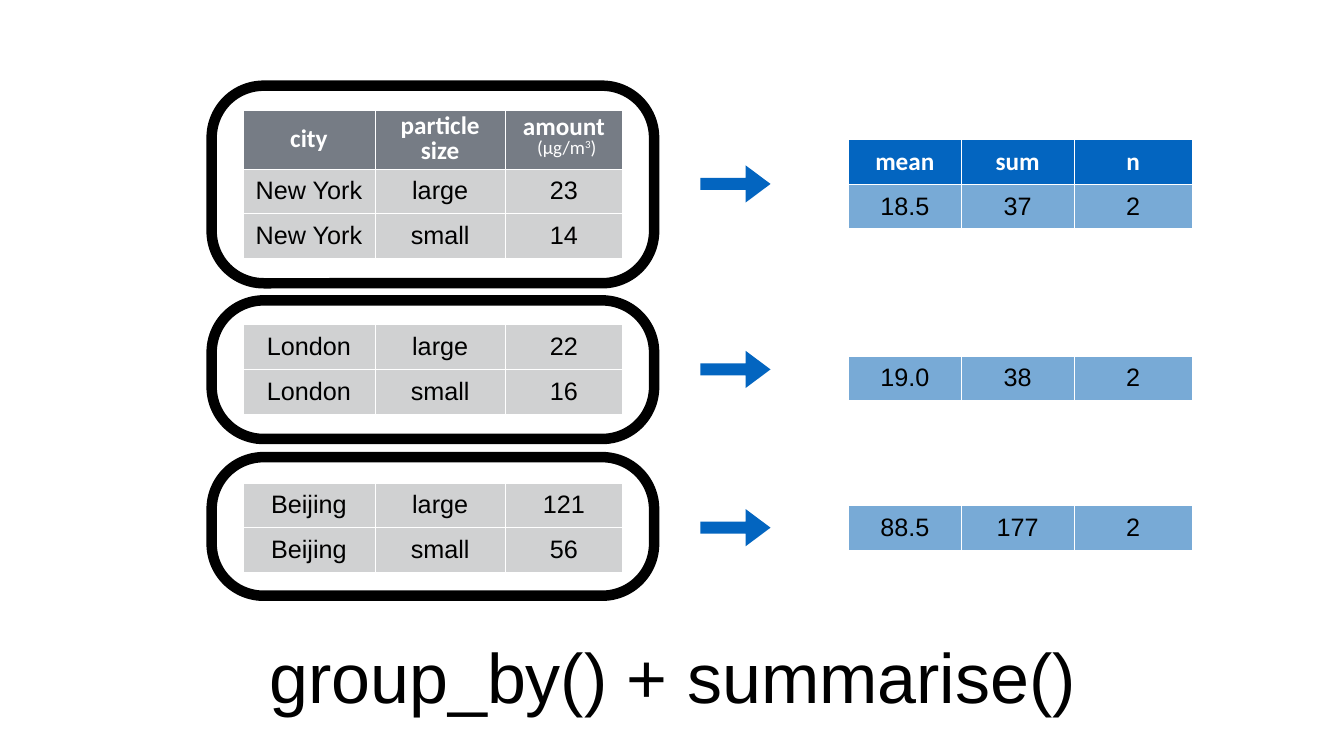
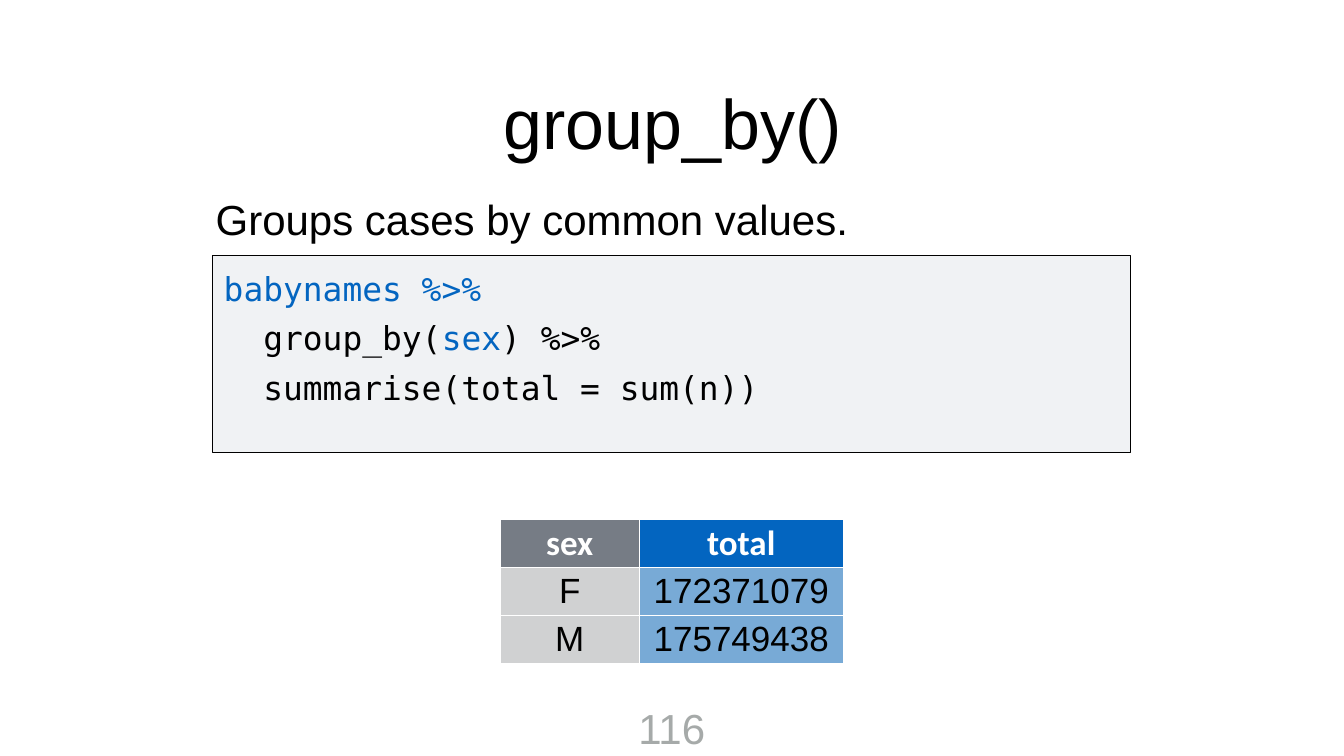
from dataclasses import dataclass, replace
from typing import Optional, Union

from lxml import etree
from pptx import Presentation
from pptx.dml.color import RGBColor
from pptx.enum import shapes, text
from pptx.oxml.ns import qn
from pptx.util import Inches, Pt


@dataclass(frozen=True)
class Style:
    size: float
    font: str = "Arial"
    color: str = "000000"
    bold: bool = False
    baseline: int = 0


@dataclass(frozen=True)
class Run:
    text: str
    style: Style


@dataclass(frozen=True)
class Para:
    runs: tuple[Run, ...]
    spacing: Optional[float] = None


@dataclass(frozen=True)
class Theme:
    black: str = "000000"
    white: str = "FFFFFF"
    blue: str = "0365C0"
    light_blue: str = "78AAD6"
    slate: str = "767C85"
    gray: str = "D0D1D2"
    panel: str = "F0F2F4"
    title: Style = Style(100)
    body: Style = Style(60)
    number: Style = Style(60, color="A6AAA9")
    code: Style = Style(47, "DejaVu Sans Mono")
    cell: Style = Style(36)
    header: Style = Style(36, "Calibri", "FFFFFF", True)
    unit: Style = Style(27, "Calibri", "FFFFFF")


T = Theme()
Content = Union[str, list[Para]]


@dataclass(frozen=True)
class Cell:
    content: Content
    fill: str
    style: Style


@dataclass(frozen=True)
class CityGroup:
    city: str
    large: str
    small: str
    summary: tuple[str, str, str]
    frame_top: float
    table_top: float
    arrow_top: float
    summary_top: float
    has_header: bool = False


CITY_COLS = (2.62, 2.59, 2.32)
SUMMARY_COLS = (2.23, 2.25, 2.33)
ROW = 0.89
HEADER_ROW = 1.17
FRAME_RADIUS = 1.03
FRAME_MARGIN = 0.97

GROUPS = (
    CityGroup("New York", "23", "14", ("18.5", "37", "2"), 1.7, 2.18, 3.28, 2.76, True),
    CityGroup("London", "22", "16", ("19.0", "38", "2"), 5.96, 6.44, 6.96, 7.06),
    CityGroup("Beijing", "121", "56", ("88.5", "177", "2"), 9.07, 9.58, 10.1, 10.02),
)


def rgb(color: str) -> RGBColor:
    return RGBColor.from_string(color)


def add_run(p, run: Run) -> None:
    for i, line in enumerate(run.text.split("\n")):
        if i:
            p.add_line_break()
        r = p.add_run()
        r.text = line
        r.font.size = Pt(run.style.size)
        r.font.name = run.style.font
        r.font.bold = run.style.bold
        r.font.color.rgb = rgb(run.style.color)
        if run.style.baseline:
            r.font._element.set("baseline", str(run.style.baseline * 1000))


def write(tf, content: Content, *, style: Style = T.body,
          align=text.PP_ALIGN.CENTER, before: float = 0) -> None:
    paras = [Para((Run(content, style),))] if isinstance(content, str) else content
    for i, para in enumerate(paras):
        p = tf.add_paragraph() if i else tf.paragraphs[0]
        p.alignment = align
        if i and before:
            p.space_before = Pt(before)
        if para.spacing:
            p.line_spacing = para.spacing
        for run in para.runs:
            add_run(p, run)


def set_insets(box, inset: float) -> None:
    box.margin_left = box.margin_right = Inches(inset)
    box.margin_top = box.margin_bottom = Inches(inset)


def add_text(slide, at, content: Content, *, anchor=text.MSO_ANCHOR.MIDDLE,
             inset: float = 0.06, wrap: bool = True, **fmt) -> None:
    tf = slide.shapes.add_textbox(*map(Inches, at)).text_frame
    tf.word_wrap = wrap
    tf.vertical_anchor = anchor
    set_insets(tf, inset)
    write(tf, content, **fmt)


def add_box(slide, kind, at, *, fill: Optional[str] = None,
            line: float = 0, adjust: tuple[float, ...] = ()) -> None:
    sp = slide.shapes.add_shape(kind, *map(Inches, at))
    sp.shadow.inherit = False
    for i, value in enumerate(adjust):
        sp.adjustments[i] = value
    if fill:
        sp.fill.solid()
        sp.fill.fore_color.rgb = rgb(fill)
    else:
        sp.fill.background()
    if line:
        sp.line.color.rgb = rgb(T.black)
        sp.line.width = Pt(line)
    else:
        sp.line.fill.background()


def add_borders(cell) -> None:
    tc_pr = cell._tc.get_or_add_tcPr()
    for i, side in enumerate(("lnL", "lnR", "lnT", "lnB")):
        ln = etree.Element(qn(f"a:{side}"), w=str(Pt(1)))
        solid = etree.SubElement(ln, qn("a:solidFill"))
        etree.SubElement(solid, qn("a:srgbClr"), val=T.white)
        tc_pr.insert(i, ln)


def add_grid(slide, left: float, top: float, cols: tuple[float, ...],
             heights: list[float], rows: list[list[Cell]]) -> None:
    frame = slide.shapes.add_table(len(rows), len(cols), Inches(left), Inches(top),
                                   Inches(sum(cols)), Inches(sum(heights)))
    table = frame.table
    table.first_row = table.horz_banding = False
    for column, width in zip(table.columns, cols):
        column.width = Inches(width)
    for row, height in zip(table.rows, heights):
        row.height = Inches(height)
    for i, row in enumerate(rows):
        for j, data in enumerate(row):
            cell = table.cell(i, j)
            cell.fill.solid()
            cell.fill.fore_color.rgb = rgb(data.fill)
            cell.vertical_anchor = text.MSO_ANCHOR.MIDDLE
            set_insets(cell, 0.06)
            add_borders(cell)
            write(cell.text_frame, data.content, style=data.style)


def cells(values, fill: str, style: Style) -> list[Cell]:
    return [Cell(value, fill, style) for value in values]


def city_header() -> list[Cell]:
    size = [Para((Run("particle\nsize", T.header),), 0.8)]
    amount = [
        Para((Run("amount", T.header),), 0.6),
        Para((Run(" ", replace(T.header, bold=False)), Run("(µg/m", T.unit),
              Run("3", replace(T.unit, baseline=32)), Run(")", T.unit)), 0.6),
    ]
    return cells(["city", size, amount], T.slate, T.header)


def add_city_group(slide, group: CityGroup) -> None:
    rows = [cells((group.city, "large", group.large), T.gray, T.cell),
            cells((group.city, "small", group.small), T.gray, T.cell)]
    heights = [ROW, ROW]
    summary = [cells(group.summary, T.light_blue, T.cell)]
    if group.has_header:
        rows.insert(0, city_header())
        heights.insert(0, HEADER_ROW)
        summary.insert(0, cells(("mean", "sum", "n"), T.blue, T.header))
    add_grid(slide, 4.82, group.table_top, CITY_COLS, heights, rows)
    height = sum(heights) + FRAME_MARGIN
    add_box(slide, shapes.MSO_SHAPE.ROUNDED_RECTANGLE,
            (4.2, group.frame_top, 8.78, height), line=15,
            adjust=(FRAME_RADIUS / height,))
    add_box(slide, shapes.MSO_SHAPE.RIGHT_ARROW, (13.9, group.arrow_top, 1.39, 0.74),
            fill=T.blue, adjust=(0.32, 0.67))
    add_grid(slide, 16.84, group.summary_top, SUMMARY_COLS,
             [ROW] * len(summary), summary)


def build_summarise_slide(slide) -> None:
    for group in GROUPS:
        add_city_group(slide, group)
    add_text(slide, (4.53, 12.41, 17.63, 1.98), "group_by() + summarise()", style=T.title)


def build_group_by_slide(slide) -> None:
    add_text(slide, (4.4, 1.1, 17.9, 2.62), "group_by()", style=T.title)
    add_text(slide, (4.22, 3.55, 18.23, 1.56), "Groups cases by common values.",
             align=text.PP_ALIGN.LEFT)
    add_box(slide, shapes.MSO_SHAPE.RECTANGLE, (4.22, 5.06, 18.22, 3.91),
            fill=T.panel, line=1)
    blue_code = replace(T.code, color=T.blue)
    code = [
        Para((Run("babynames %>%", blue_code),)),
        Para((Run("  group_by(", T.code), Run("sex", blue_code), Run(") %>%", T.code))),
        Para((Run("  summarise(total = sum(n))", T.code),)),
    ]
    add_text(slide, (4.38, 5.26, 17.24, 3.51), code, anchor=text.MSO_ANCHOR.TOP,
             align=text.PP_ALIGN.LEFT, before=15)
    header, value = replace(T.header, size=50), replace(T.cell, size=50)
    rows = [[Cell("sex", T.slate, header), Cell("total", T.blue, header)]]
    for sex, total in (("F", "172371079"), ("M", "175749438")):
        rows.append([Cell(sex, T.gray, value), Cell(total, T.light_blue, value)])
    add_grid(slide, 9.93, 10.3, (2.75, 4.06), [ROW] * len(rows), rows)
    add_text(slide, (12.58, 13.85, 1.5, 1.16), "116", style=T.number,
             anchor=text.MSO_ANCHOR.TOP, inset=0.08, wrap=False)


def main() -> None:
    prs = Presentation()
    prs.slide_width, prs.slide_height = Inches(26.67), Inches(15)
    for build in (build_summarise_slide, build_group_by_slide):
        build(prs.slides.add_slide(prs.slide_layouts[6]))
    prs.save("out.pptx")


if __name__ == "__main__":
    main()
